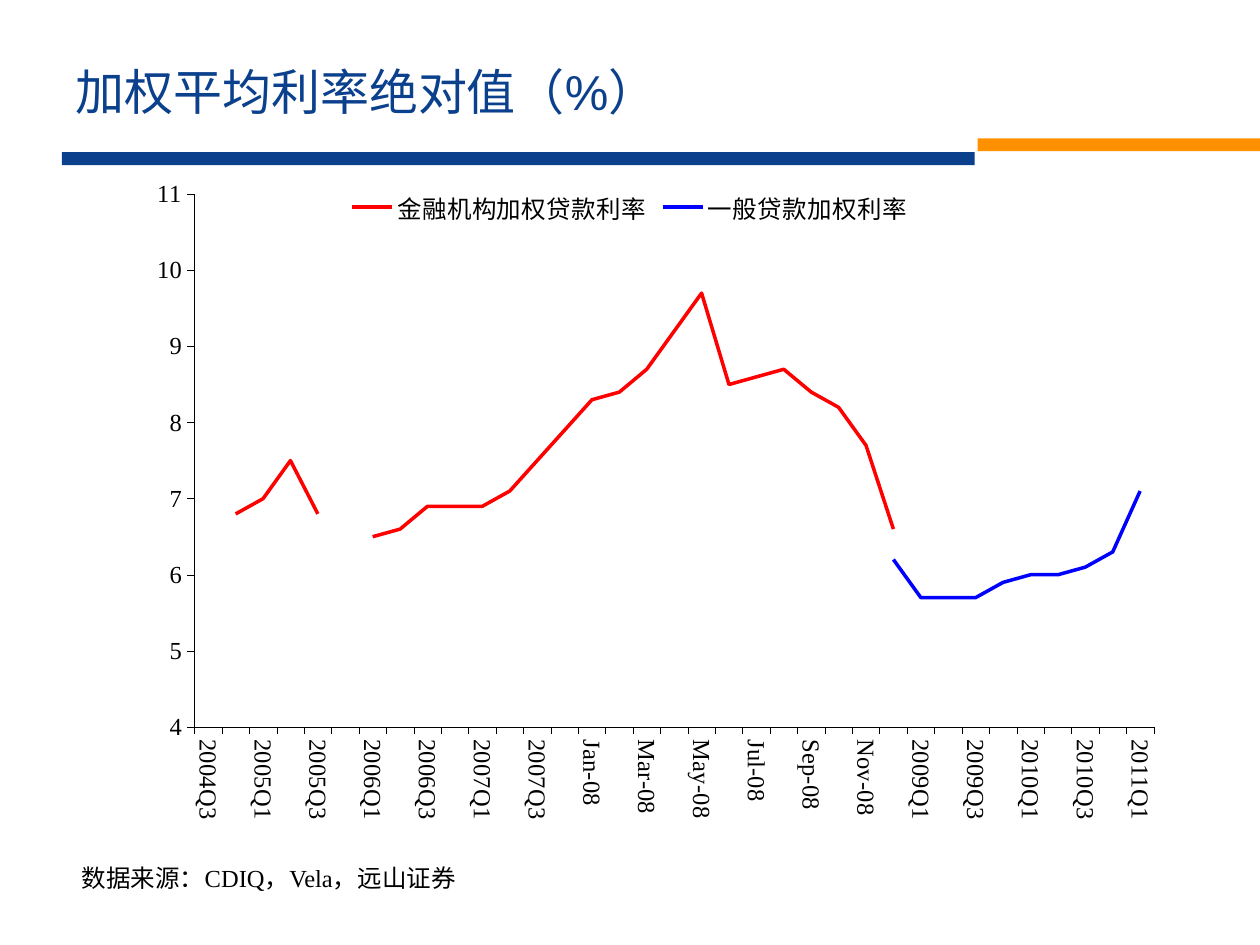
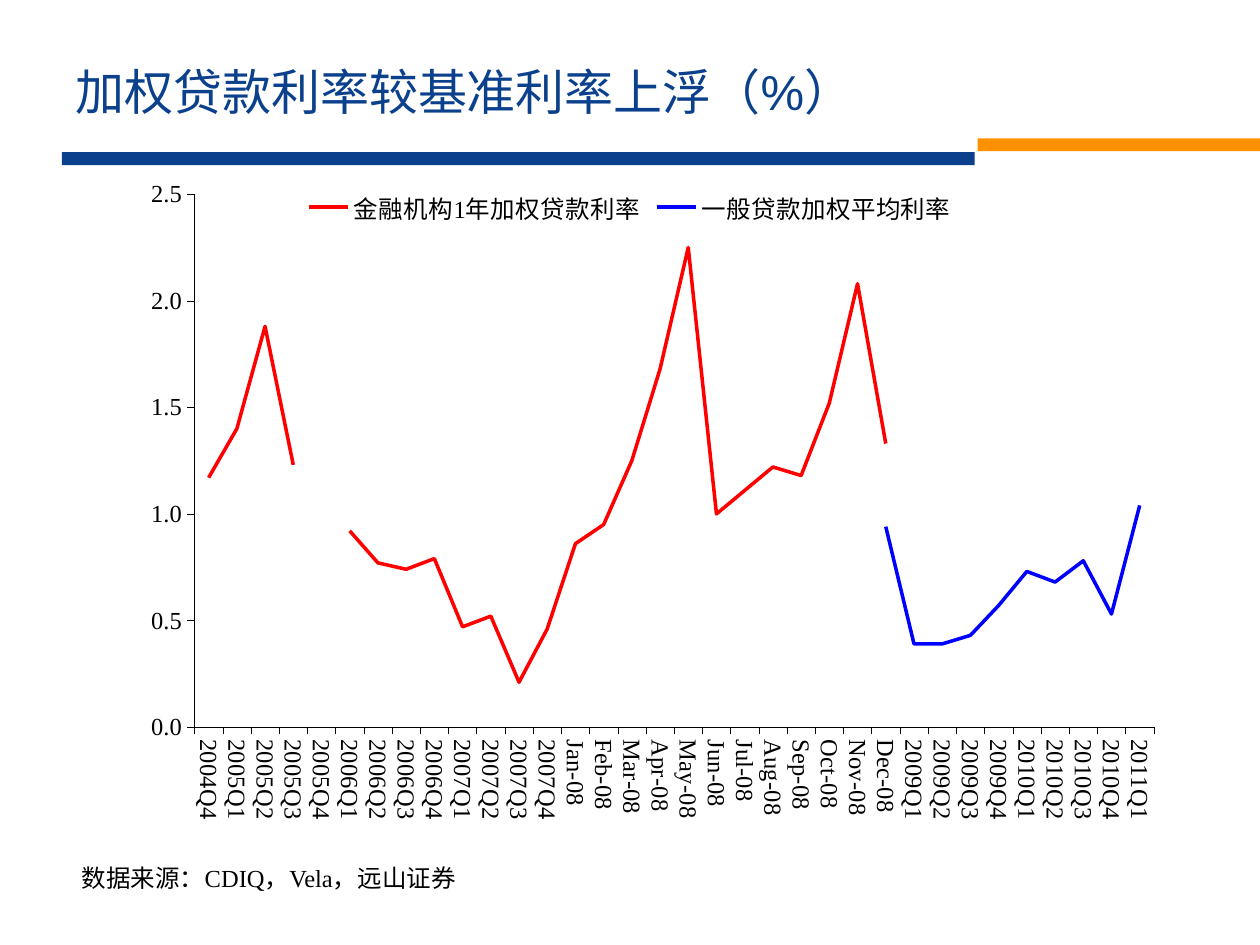
from lxml import etree
from pptx import Presentation
from pptx import util as u
from pptx.chart.data import CategoryChartData
from pptx.dml.color import RGBColor
from pptx.enum import chart as ch, shapes, text
from pptx.oxml.ns import qn

hues = {"navy": "0A408C", "gold": "FF9100", "ink": "000000",
        "red": "FF0000", "blue": "0000FF"}
rgb = {name: RGBColor.from_string(code) for name, code in hues.items()}
source = "数据来源：CDIQ，Vela，远山证券"

quarts = [f"{year}Q{q}" for year in range(2004, 2012) for q in range(1, 5)]
months = [f"{m}-08" for m in "Jan Feb Mar Apr May Jun Jul Aug Sep Oct Nov Dec".split()]
dates = quarts[2:16] + months + quarts[20:29]

pages = [
    {"title": "加权平均利率绝对值（%）", "dates": dates,
     "low": 4, "high": 11, "step": 1, "format": "#,##0", "skip": 2,
     "names": ("金融机构加权贷款利率", "一般贷款加权利率"),
     "red": [None, 6.8, 7, 7.5, 6.8, None, 6.5, 6.6, 6.9, 6.9, 6.9, 7.1, 7.5,
             7.9, 8.3, 8.4, 8.7, 9.2, 9.7, 8.5, 8.6, 8.7, 8.4, 8.2, 7.7, 6.6],
     "blue": [6.2, 5.7, 5.7, 5.7, 5.9, 6, 6, 6.1, 6.3, 7.1]},
    {"title": "加权贷款利率较基准利率上浮（%）", "dates": dates[1:],
     "low": 0, "high": 2.5, "step": 0.5, "format": "#,##0.0", "skip": 1,
     "names": ("金融机构1年加权贷款利率", "一般贷款加权平均利率"),
     "red": [1.17, 1.4, 1.88, 1.23, None, 0.92, 0.77, 0.74, 0.79, 0.47, 0.52,
             0.21, 0.46, 0.86, 0.95, 1.25, 1.68, 2.25, 1, 1.11, 1.22, 1.18,
             1.52, 2.08, 1.33],
     "blue": [0.94, 0.39, 0.39, 0.43, 0.57, 0.73, 0.68, 0.78, 0.53, 1.04]},
]
bands = [("navy", 1.25, 3.07, 18.4), ("gold", 19.71, 2.79, 5.69)]
plot = {"layoutTarget": "inner", "xMode": "edge", "yMode": "edge",
        "x": 0.116, "y": 0.028, "w": 0.846, "h": 0.779}


def style(font, face, size, hue):
    font.name, font.size = face, u.Pt(size)
    font.color.rgb = rgb[hue]


def add(parent, tag, val=None):
    node = etree.SubElement(parent, qn("c:" + tag))
    if val is not None:
        node.set("val", str(val))
    return node


deck = Presentation()
deck.slide_width, deck.slide_height = u.Cm(25.4), u.Cm(19.05)
layout = deck.slide_layouts[5]

for page in pages:
    slide = deck.slides.add_slide(layout)

    if page is pages[0]:
        for hue, left, top, width in bands:
            band = slide.shapes.add_shape(shapes.MSO_SHAPE.RECTANGLE, u.Cm(left),
                                          u.Cm(top), u.Cm(width), u.Cm(0.26))
            band.shadow.inherit = False
            band.fill.solid()
            band.fill.fore_color.rgb = rgb[hue]
            band.line.fill.background()
            layout.shapes._spTree.append(band._element)

    title = slide.shapes.title
    title.left, title.top = u.Cm(1.27), u.Cm(0.76)
    title.width, title.height = u.Cm(22.86), u.Cm(2.16)
    title.text_frame.vertical_anchor = text.MSO_ANCHOR.MIDDLE
    para = title.text_frame.paragraphs[0]
    para.alignment = text.PP_ALIGN.LEFT
    run = para.add_run()
    run.text = page["title"]
    style(run.font, "Arial", 28, "navy")

    note = slide.shapes.add_textbox(u.Cm(1.4), u.Cm(17.27), u.Cm(10.11), u.Cm(0.86))
    note.text_frame.word_wrap = True
    note.text_frame.auto_size = text.MSO_AUTO_SIZE.SHAPE_TO_FIT_TEXT
    run = note.text_frame.paragraphs[0].add_run()
    run.text = source
    style(run.font, "Times New Roman", 14, "ink")

    count = len(page["dates"])
    data = CategoryChartData()
    data.categories = page["dates"]
    data.add_series(page["names"][0], page["red"] + [None] * (count - len(page["red"])))
    data.add_series(page["names"][1], [None] * (count - len(page["blue"])) + page["blue"])
    chart = slide.shapes.add_chart(ch.XL_CHART_TYPE.LINE, u.Cm(1.27), u.Cm(3.53),
                                   u.Cm(22.86), u.Cm(13.79), data).chart
    chart.has_title = False
    style(chart.font, "Times New Roman", 14, "ink")
    chart.has_legend = True
    chart.legend.position = ch.XL_LEGEND_POSITION.TOP
    chart.legend.include_in_layout = True
    style(chart.legend.font, "Times New Roman", 14, "ink")

    for line, hue in zip(chart.plots[0].series, ("red", "blue")):
        line.smooth = False
        line.format.line.width = u.Pt(2)
        line.format.line.color.rgb = rgb[hue]

    base, scale = chart.category_axis, chart.value_axis
    for axis in (base, scale):
        axis.has_major_gridlines = False
        axis.major_tick_mark = ch.XL_TICK_MARK.OUTSIDE
        axis.minor_tick_mark = ch.XL_TICK_MARK.NONE
        axis.format.line.width = u.Pt(0.25)
        axis.format.line.color.rgb = rgb["ink"]
        style(axis.tick_labels.font, "Times New Roman", 14, "ink")
    scale.minimum_scale, scale.maximum_scale = page["low"], page["high"]
    scale.major_unit = page["step"]
    scale.tick_labels.number_format = page["format"]
    scale.tick_labels.number_format_is_linked = False

    base.tick_label_position = ch.XL_TICK_LABEL_POSITION.LOW
    root = base._element
    turn = root.find(qn("c:txPr")).find(qn("a:bodyPr"))
    turn.set("rot", "5400000")
    turn.set("vert", "horz")
    skip = add(root, "tickLblSkip", page["skip"])
    root.find(qn("c:noMultiLvlLbl")).addprevious(skip)

    area = chart._chartSpace.chart.plotArea
    for old in area.findall(qn("c:layout")):
        area.remove(old)
    frame = add(area, "layout")
    area.insert(0, frame)
    inner = add(frame, "manualLayout")
    for tag, val in plot.items():
        add(inner, tag, val)

deck.save("out.pptx")
